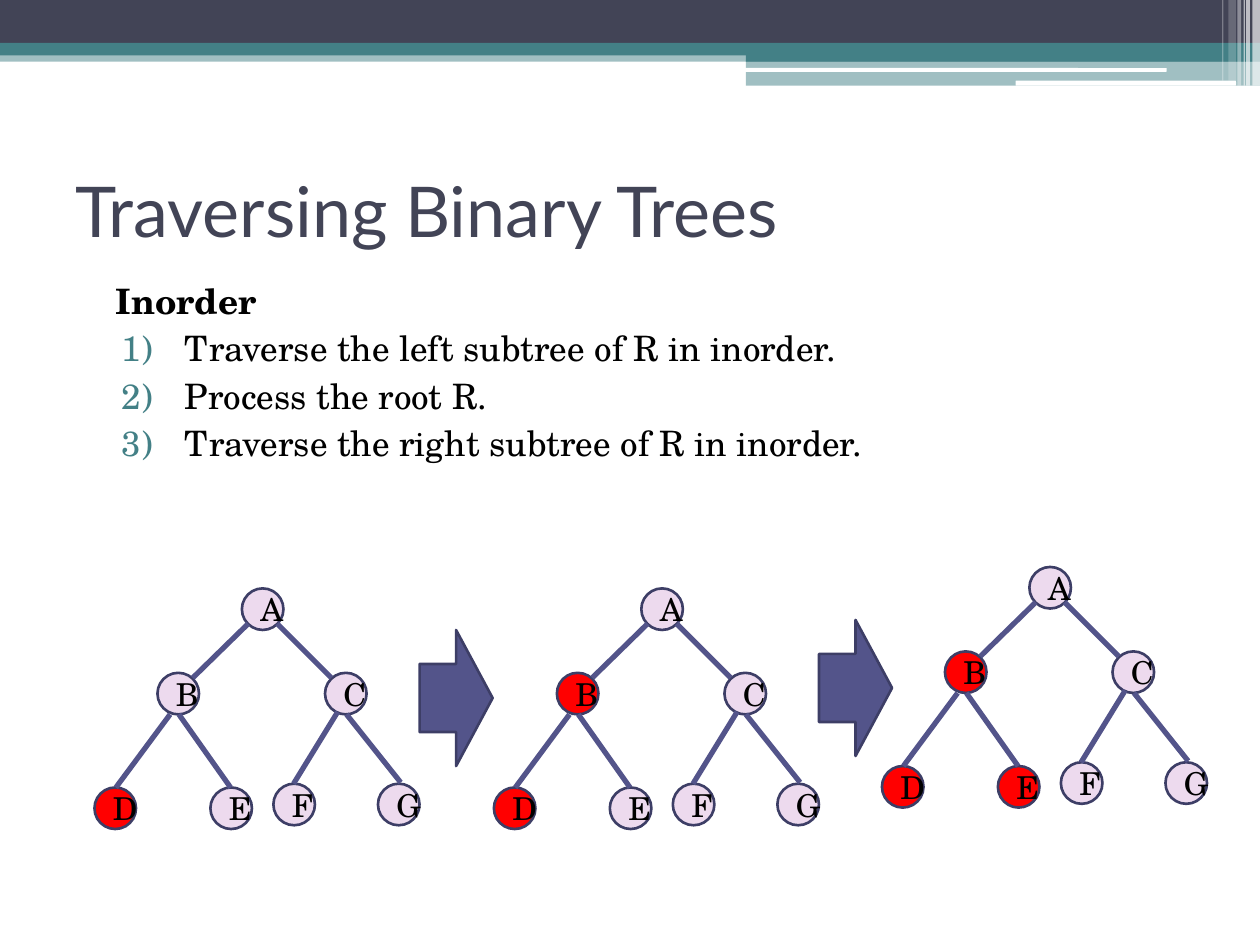
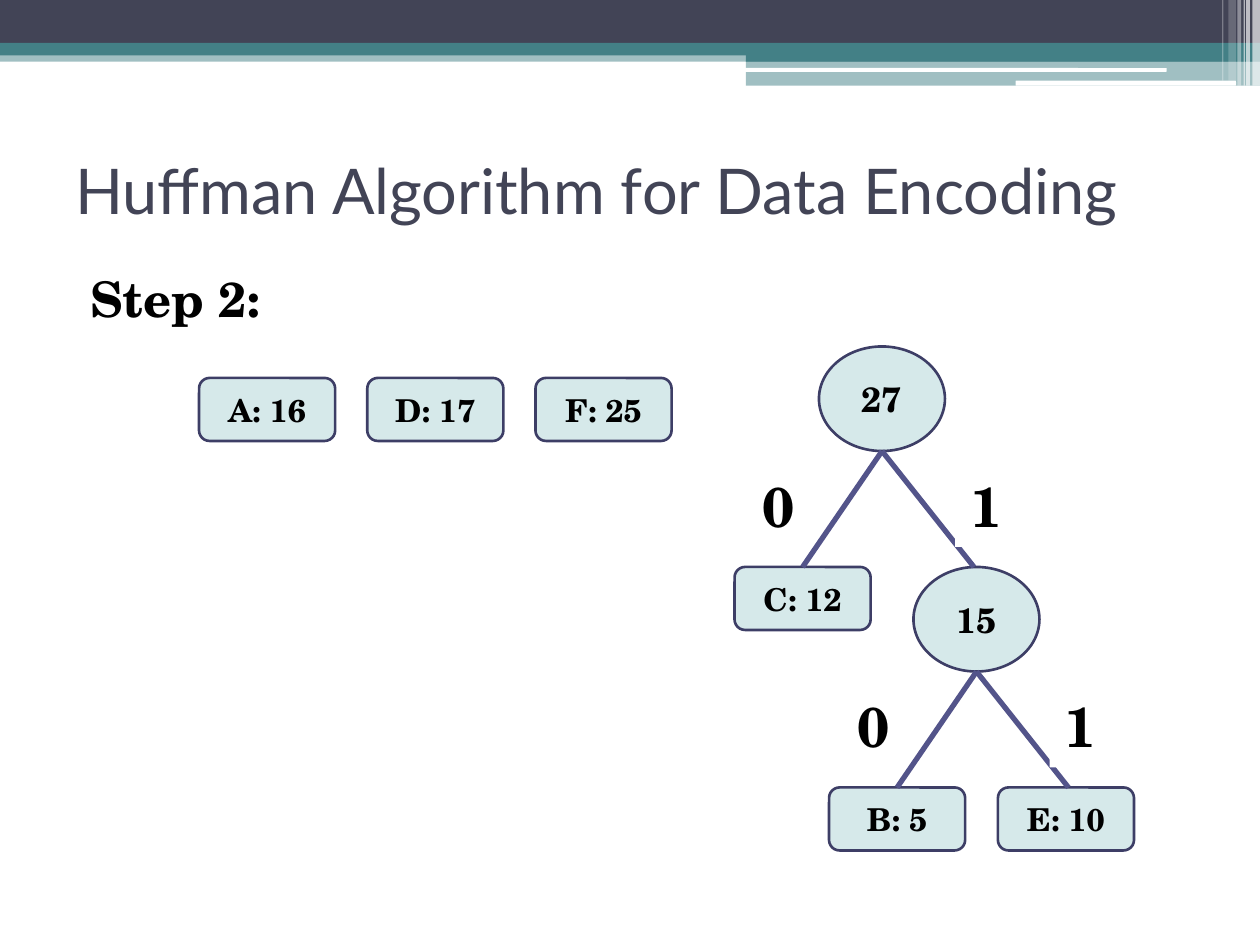
from typing import NamedTuple

from lxml.etree import SubElement
from pptx import Presentation
from pptx.dml.color import RGBColor
from pptx.enum.shapes import MSO_CONNECTOR, MSO_SHAPE
from pptx.enum.text import MSO_ANCHOR, PP_ALIGN
from pptx.oxml.ns import qn
from pptx.util import Inches, Pt

WHITE = RGBColor(0xFF, 0xFF, 0xFF)
BLACK = RGBColor(0x00, 0x00, 0x00)
SLATE = RGBColor(0x42, 0x44, 0x56)
TEAL = RGBColor(0x43, 0x80, 0x86)
INDIGO = RGBColor(0x53, 0x54, 0x8A)
OUTLINE = RGBColor(0x3D, 0x3E, 0x66)
LILAC = RGBColor(0xED, 0xDA, 0xEE)
RED = RGBColor(0xFF, 0x00, 0x00)
PALE_TEAL = RGBColor(0xD6, 0xE9, 0xEA)

TITLE_FONT = "Lato"
BODY_FONT = "TeX Gyre Schola"
RECTANGLE = MSO_SHAPE.RECTANGLE
ROUNDED = MSO_SHAPE.ROUNDED_RECTANGLE
OVAL = MSO_SHAPE.OVAL


class Area(NamedTuple):
    left: float
    top: float
    width: float
    height: float


class Band(NamedTuple):
    area: Area
    color: RGBColor
    opacity: int = 100
    preset: int = RECTANGLE


class TextStyle(NamedTuple):
    size: int
    bold: bool = False
    color: RGBColor = BLACK
    font: str = BODY_FONT


class Line(NamedTuple):
    text: str
    style: TextStyle
    margin: float
    indent: float = 0
    numbered: bool = False


class Edge(NamedTuple):
    start_x: float
    start_y: float
    end_x: float
    end_y: float


class Tree(NamedTuple):
    left: float
    top: float
    visited: str


class Branch(NamedTuple):
    weight: str
    left: float
    top: float


class Leaf(NamedTuple):
    text: str
    left: float
    top: float


BANDS = [
    Band(Area(0, 0.4, 10, 0.09), TEAL, 50),
    Band(Area(0, 0, 10, 0.34), SLATE),
    Band(Area(0, 0.34, 10, 0.1), TEAL),
    Band(Area(5.92, 0.39, 4.08, 0.1), TEAL),
    Band(Area(5.92, 0.48, 4.08, 0.2), TEAL, 50),
    Band(Area(5.91, 0.54, 3.35, 0.03), WHITE, preset=ROUNDED),
    Band(Area(8.06, 0.64, 1.75, 0.04), WHITE, preset=ROUNDED),
    Band(Area(9.94, 0, 0.06, 0.68), WHITE, 65),
    Band(Area(9.89, 0, 0.03, 0.68), WHITE, 65),
    Band(Area(9.87, 0, 0.01, 0.68), WHITE, 60),
    Band(Area(9.82, 0, 0.03, 0.68), WHITE, 40),
    Band(Area(9.75, 0, 0.06, 0.64), WHITE, 20),
    Band(Area(9.7, 0, 0.01, 0.64), WHITE, 30),
]

NODE_SIZE = 0.33
NODE_OFFSETS = {
    "B": (0.5, 0.67),
    "A": (1.17, 0),
    "D": (0, 1.58),
    "E": (0.92, 1.58),
    "C": (1.83, 0.67),
    "F": (1.42, 1.55),
    "G": (2.25, 1.55),
}
TREE_EDGES = [
    Edge(1.22, 0.28, 0.78, 0.71),
    Edge(0.6, 1, 0.17, 1.58),
    Edge(1.45, 0.28, 1.88, 0.71),
    Edge(1.93, 0.98, 1.58, 1.55),
    Edge(0.67, 1, 1.08, 1.58),
    Edge(2, 1, 2.43, 1.54),
]
TREES = [Tree(0.75, 4.67, "D"), Tree(3.92, 4.67, "DB"), Tree(7, 4.5, "DBE")]
STEP_ARROWS = [Area(3.33, 5, 0.58, 1.08), Area(6.5, 4.92, 0.58, 1.08)]

BRANCH_EDGES = [Edge(0.5, 0.83, -0.13, 1.75), Edge(0.5, 0.83, 1.23, 1.75)]
BIT_OFFSETS = {"0": -0.57, "1": 1.08}
BRANCHES = [Branch("15", 7.25, 4.5), Branch("27", 6.5, 2.75)]
LEAVES = [Leaf("B: 5", 6.58, 6.25), Leaf("E: 10", 7.92, 6.25), Leaf("C: 12", 5.83, 4.5)]
QUEUE = ["A: 16", "D: 17", "F: 25"]
QUEUE_LEFT, QUEUE_STEP = 1.58, 1.335

NODE_STYLE = TextStyle(18)
LEAF_STYLE = TextStyle(18, bold=True)
WEIGHT_STYLE = TextStyle(20, bold=True)
BIT_STYLE = TextStyle(32, bold=True)


def place(area: Area) -> list:
    return [Inches(value) for value in area]


def style_paragraph(para, style: TextStyle) -> None:
    para.font.name = style.font
    para.font.size = Pt(style.size)
    para.font.bold = style.bold
    para.font.color.rgb = style.color


def add_figure(page, preset: int, area: Area, fill: RGBColor, outlined: bool = True):
    figure = page.shapes.add_shape(preset, *place(area))
    figure.shadow.inherit = False
    figure.fill.solid()
    figure.fill.fore_color.rgb = fill
    if outlined:
        figure.line.color.rgb = OUTLINE
        figure.line.width = Pt(1.5)
    else:
        figure.line.fill.background()
    return figure


def write_label(figure, text: str, style: TextStyle) -> None:
    frame = figure.text_frame
    frame.word_wrap = True
    frame.vertical_anchor = MSO_ANCHOR.MIDDLE
    para = frame.paragraphs[0]
    para.text = text
    para.alignment = PP_ALIGN.CENTER
    style_paragraph(para, style)


def add_band(page, band: Band) -> None:
    figure = add_figure(page, band.preset, band.area, band.color, outlined=False)
    if band.opacity < 100:
        color = figure.element.spPr.find(qn("a:solidFill")).find(qn("a:srgbClr"))
        SubElement(color, qn("a:alpha"), val=str(band.opacity * 1000))


def add_edge(page, edge: Edge, left: float, top: float) -> None:
    connector = page.shapes.add_connector(
        MSO_CONNECTOR.STRAIGHT,
        Inches(left + edge.start_x),
        Inches(top + edge.start_y),
        Inches(left + edge.end_x),
        Inches(top + edge.end_y),
    )
    connector.line.color.rgb = INDIGO
    connector.line.width = Pt(3)
    SubElement(connector.element.spPr, qn("a:effectLst"))


def add_body(page, area: Area, lines: list[Line]) -> None:
    frame = page.shapes.add_textbox(*place(area)).text_frame
    frame.word_wrap = True
    for index, line in enumerate(lines):
        para = frame.add_paragraph() if index else frame.paragraphs[0]
        para.text = line.text
        properties = para._p.get_or_add_pPr()
        properties.set("marL", str(Inches(line.margin)))
        properties.set("indent", str(Inches(line.indent)))
        if line.numbered:
            bullet_color = SubElement(properties, qn("a:buClr"))
            SubElement(bullet_color, qn("a:srgbClr"), val=str(TEAL))
            SubElement(properties, qn("a:buAutoNum"), type="arabicParenR")
        para.space_before = Pt(3)
        style_paragraph(para, line.style)


def add_page(deck, title: str, title_top: float, title_size: int):
    page = deck.slides.add_slide(deck.slide_layouts[6])
    for band in BANDS:
        add_band(page, band)
    box = page.shapes.add_textbox(*place(Area(0.5, title_top, 9, 1.17)))
    box.text_frame.word_wrap = True
    box.text_frame.vertical_anchor = MSO_ANCHOR.MIDDLE
    para = box.text_frame.paragraphs[0]
    para.text = title
    style_paragraph(para, TextStyle(title_size, color=SLATE, font=TITLE_FONT))
    return page


def add_tree(page, tree: Tree) -> None:
    for name, (x, y) in NODE_OFFSETS.items():
        area = Area(tree.left + x, tree.top + y, NODE_SIZE, NODE_SIZE)
        node = add_figure(page, OVAL, area, RED if name in tree.visited else LILAC)
        write_label(node, name, NODE_STYLE)
    for edge in TREE_EDGES:
        add_edge(page, edge, tree.left, tree.top)


def add_leaf(page, leaf: Leaf) -> None:
    area = Area(leaf.left, leaf.top, 1.08, 0.5)
    write_label(add_figure(page, ROUNDED, area, PALE_TEAL), leaf.text, LEAF_STYLE)


def add_branch(page, branch: Branch) -> None:
    area = Area(branch.left, branch.top, 1, 0.83)
    write_label(add_figure(page, OVAL, area, PALE_TEAL), branch.weight, WEIGHT_STYLE)
    for edge in BRANCH_EDGES:
        add_edge(page, edge, branch.left, branch.top)
    for bit, offset in BIT_OFFSETS.items():
        area = Area(branch.left + offset, branch.top + 0.92, 0.5, 0.67)
        write_label(add_figure(page, RECTANGLE, area, WHITE, outlined=False), bit, BIT_STYLE)


def build_traversal(deck) -> None:
    page = add_page(deck, "Traversing Binary Trees", 1.08, 40)
    steps = [
        "Traverse the left subtree of R in inorder.",
        "Process the root R.",
        "Traverse the right subtree of R in inorder.",
    ]
    lines = [Line("Inorder", TextStyle(20, bold=True), 0.4)]
    lines += [Line(step, TextStyle(20), 0.95, -0.5, numbered=True) for step in steps]
    add_body(page, Area(0.42, 2.17, 9.33, 5.17), lines)
    for tree in TREES:
        add_tree(page, tree)
    for area in STEP_ARROWS:
        add_figure(page, MSO_SHAPE.RIGHT_ARROW, area, INDIGO)


def build_huffman(deck) -> None:
    page = add_page(deck, "Huffman Algorithm for Data Encoding", 0.92, 36)
    step = Line("Step 2:", TextStyle(28, bold=True), 0.4, -0.28)
    add_body(page, Area(0.5, 2.08, 9, 4.92), [step])
    queue = [Leaf(text, QUEUE_LEFT + i * QUEUE_STEP, 3) for i, text in enumerate(QUEUE)]
    for leaf in LEAVES + queue:
        add_leaf(page, leaf)
    for branch in BRANCHES:
        add_branch(page, branch)


def main() -> None:
    deck = Presentation()
    deck.slide_width = Inches(10)
    deck.slide_height = Inches(7.5)
    build_traversal(deck)
    build_huffman(deck)
    deck.save("out.pptx")


if __name__ == "__main__":
    main()
